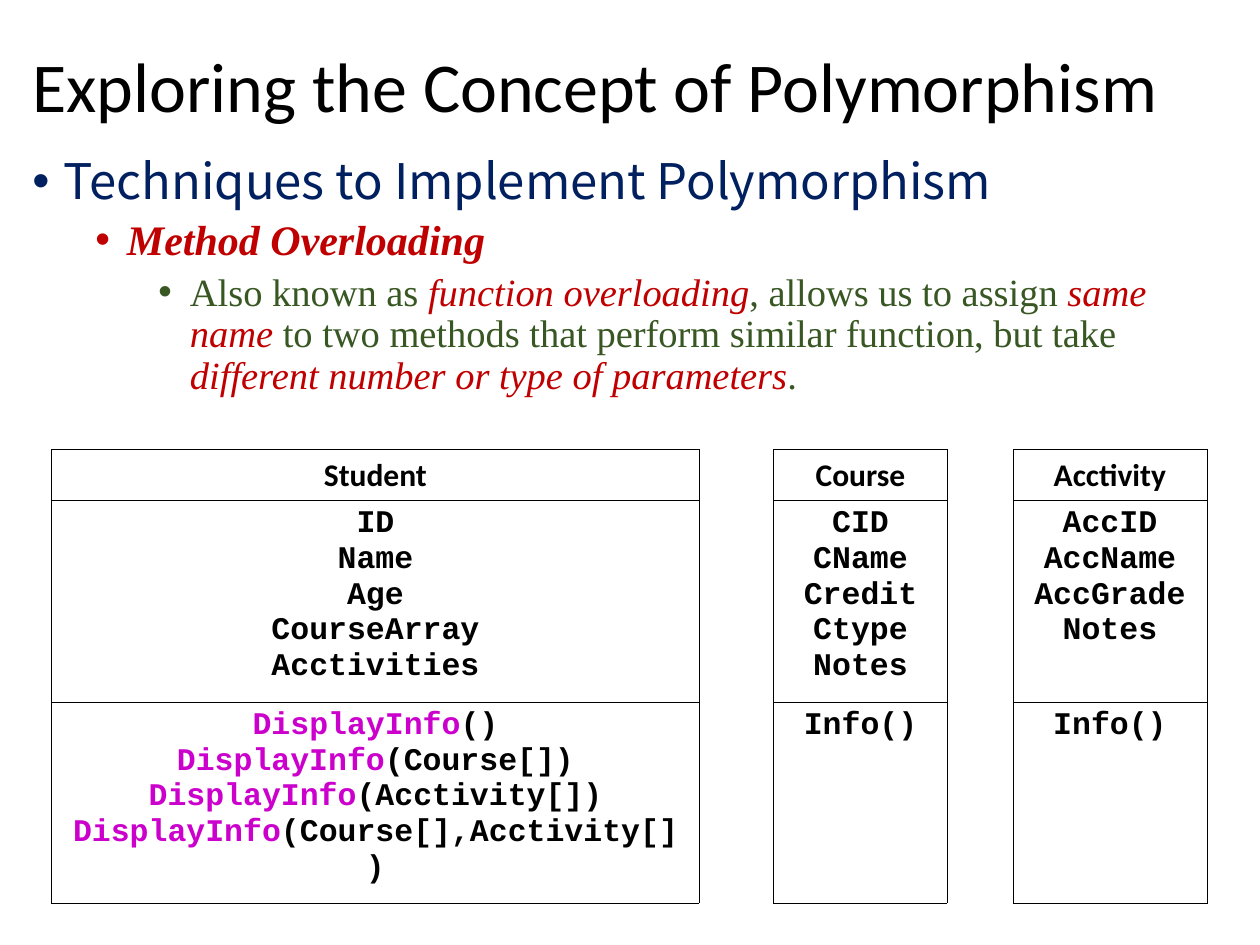
from dataclasses import dataclass

from lxml.etree import SubElement
from pptx import Presentation
from pptx.dml.color import RGBColor
from pptx.enum.text import MSO_ANCHOR, PP_ALIGN
from pptx.oxml.ns import qn
from pptx.util import Inches, Pt

COLORS = {"black": "000000", "white": "FFFFFF", "navy": "002060",
          "red": "C00000", "green": "385723", "magenta": "CC00CC"}
SANS, CJK, SERIF, MONO = ("Calibri", "Noto Sans CJK SC",
                          "Times New Roman", "Courier New")


@dataclass(frozen=True)
class Span:
    text: str
    color: str = "black"
    bold: bool = False
    italic: bool = False


@dataclass(frozen=True)
class Point:
    spans: list[Span]
    font: str
    size: int
    before: int = 5


@dataclass(frozen=True)
class Entity:
    name: str
    fields: list[str]
    methods: list[list[Span]]


def code(text: str) -> Span:
    return Span(text, bold=True)


def display(args: str) -> list[Span]:
    return [Span("DisplayInfo", "magenta", True), code(f"({args})")]


POINTS = [
    Point([Span("Techniques to Implement Polymorphism", "navy")], CJK, 28, 0),
    Point([Span("Method Overloading", "red", True, True)], SERIF, 24),
    Point([Span("Also known as ", "green"),
           Span("function overloading", "red", italic=True),
           Span(", allows us to assign ", "green"),
           Span("same name", "red", italic=True),
           Span(" to two methods that perform similar function, but take ",
                "green"),
           Span("different number or type of parameters", "red", italic=True),
           Span(".", "green")], SERIF, 22),
]
ENTITIES = [
    Entity("Student", ["ID", "Name", "Age", "CourseArray", "Acctivities"],
           [display(args) for args in
            ("", "Course[]", "Acctivity[]", "Course[],Acctivity[]")]),
    Entity("Course", ["CID", "CName", "Credit", "Ctype", "Notes"],
           [[code("Info()")]]),
    Entity("Acctivity", ["AccID", "AccName", "AccGrade", "Notes"],
           [[code("Info()")]]),
]
WIDTHS = [5.14, 0.59, 1.38, 0.52, 1.54]
HEIGHTS = [0.4, 1.6, 1.6]


def add_spans(para, spans: list[Span], font: str, size: int) -> None:
    for span in spans:
        run = para.add_run()
        run.text = span.text
        run.font.name = font
        run.font.size = Pt(size)
        run.font.bold = span.bold
        run.font.italic = span.italic
        run.font.color.rgb = RGBColor.from_string(COLORS[span.color])
        if font == CJK:
            SubElement(run.font._element, qn("a:ea"), typeface=font)


def add_box(slide, top: float, height: float):
    box = slide.shapes.add_textbox(Inches(0.16), Inches(top),
                                   Inches(9.74), Inches(height))
    box.text_frame.word_wrap = True
    return box.text_frame


def add_bullet(para, level: int, color: str) -> None:
    props = para._p.get_or_add_pPr()
    props.set("marL", str(Inches(0.25 + 0.5 * level)))
    props.set("indent", str(-Inches(0.25)))
    fill = SubElement(props, qn("a:buClr"))
    SubElement(fill, qn("a:srgbClr"), val=COLORS[color])
    SubElement(props, qn("a:buFont"), typeface="Arial")
    SubElement(props, qn("a:buChar"), char="•")


def add_title(slide) -> None:
    frame = add_box(slide, 0.11, 1.2)
    frame.vertical_anchor = MSO_ANCHOR.MIDDLE
    para = frame.paragraphs[0]
    para.line_spacing = 0.9
    add_spans(para, [Span("Exploring the Concept of Polymorphism")], SANS, 40)


def add_points(slide) -> None:
    frame = add_box(slide, 1.2, 5.84)
    for level, point in enumerate(POINTS):
        para = frame.add_paragraph() if level else frame.paragraphs[0]
        para.level = level
        para.line_spacing = 0.9
        para.space_before = Pt(point.before)
        add_bullet(para, level, point.spans[0].color)
        add_spans(para, point.spans, point.font, point.size)


def set_edges(cell, sides: str, color: str = "black") -> None:
    """Draw thin borders on the sides named by L, R, T and B, in that order."""
    props = cell._tc.get_or_add_tcPr()
    for index, side in enumerate(sides):
        line = props.makeelement(qn(f"a:ln{side}"), {"w": str(Pt(0.45))})
        fill = SubElement(line, qn("a:solidFill"))
        SubElement(fill, qn("a:srgbClr"), val=COLORS[color])
        props.insert(index, line)


def fill_cell(cell, lines: list[list[Span]], font: str) -> None:
    frame = cell.text_frame
    for index, spans in enumerate(lines):
        para = frame.add_paragraph() if index else frame.paragraphs[0]
        para.alignment = PP_ALIGN.CENTER
        add_spans(para, spans, font, 18)
    set_edges(cell, "LRTB")


def add_grid(slide) -> None:
    frame = slide.shapes.add_table(
        len(HEIGHTS), len(WIDTHS), Inches(0.41), Inches(3.57),
        Inches(sum(WIDTHS)), Inches(sum(HEIGHTS)))
    grid = frame.table
    grid.first_row = grid.horz_banding = False
    for col, width in zip(grid.columns, WIDTHS):
        col.width = Inches(width)
    for row, height in zip(grid.rows, HEIGHTS):
        row.height = Inches(height)
    for cell in grid.iter_cells():
        cell.fill.background()
    for index, entity in enumerate(ENTITIES):
        col = 2 * index
        fill_cell(grid.cell(0, col), [[code(entity.name)]], SANS)
        fill_cell(grid.cell(1, col), [[code(f)] for f in entity.fields], MONO)
        fill_cell(grid.cell(2, col), entity.methods, MONO)
    for col in range(1, len(WIDTHS), 2):
        for row in range(len(HEIGHTS)):
            set_edges(grid.cell(row, col), "TB", "white")
            set_edges(grid.cell(row, col), "LR")
        grid.cell(0, col).merge(grid.cell(len(HEIGHTS) - 1, col))


def main() -> None:
    deck = Presentation()
    deck.slide_width, deck.slide_height = Inches(10), Inches(7.5)
    slide = deck.slides.add_slide(deck.slide_layouts[6])
    add_title(slide)
    add_points(slide)
    add_grid(slide)
    deck.save("out.pptx")


if __name__ == "__main__":
    main()
